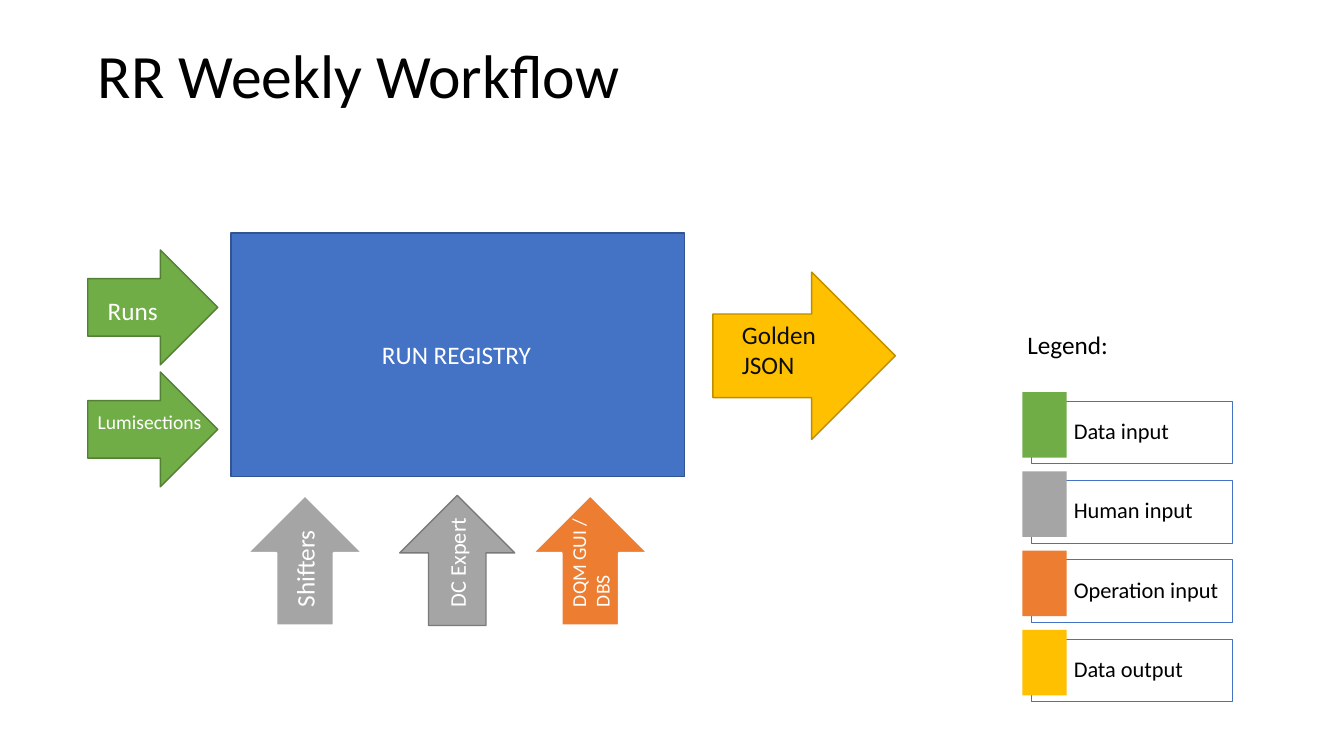
import dataclasses

import lxml.etree
import pptx
import pptx.dml.color
import pptx.enum.shapes
import pptx.enum.text
import pptx.oxml.ns
import pptx.util

SHAPE = pptx.enum.shapes.MSO_SHAPE
ANCHOR = pptx.enum.text.MSO_ANCHOR
ALIGN = pptx.enum.text.PP_ALIGN
AUTO_SIZE = pptx.enum.text.MSO_AUTO_SIZE


@dataclasses.dataclass(frozen=True)
class Theme:
    font: str = "Calibri"
    black: str = "000000"
    ink: str = "0D0D0D"
    white: str = "FFFFFF"
    registry: str = "4472C4"
    registry_edge: str = "325491"
    data_input: str = "70AD47"
    data_input_edge: str = "538035"
    human: str = "A5A5A5"
    human_edge: str = "7A7A7A"
    operation: str = "ED7D31"
    output: str = "FFC000"
    output_edge: str = "BD8E00"
    title: float = 44
    label: float = 18
    medium: float = 16
    small: float = 14


def rgb(value):
    return pptx.dml.color.RGBColor.from_string(value)


def apply(target, values):
    for name, value in values.items():
        setattr(target, name, value)


class WorkflowSlide:
    """Draws on a grid whose cells are a tenth of an inch; a box is (column, row, columns, rows)."""

    cell = pptx.util.Inches(0.1)

    def __init__(self, deck, theme):
        self.theme = theme
        self.slide = deck.slides.add_slide(deck.slide_layouts[5])

    def grid(self, *cells):
        return [round(count * self.cell) for count in cells]

    def set_text(self, shape, text, size, color, anchor=ANCHOR.TOP, spacing=1.0, insets=(1, 0.5, 1, 0.5)):
        frame = shape.text_frame
        left, top, right, bottom = self.grid(*insets)
        apply(frame, {
            "text": text, "word_wrap": True, "auto_size": AUTO_SIZE.NONE, "vertical_anchor": anchor,
            "margin_left": left, "margin_top": top, "margin_right": right, "margin_bottom": bottom,
        })
        paragraph = frame.paragraphs[0]
        apply(paragraph, {"alignment": ALIGN.LEFT, "line_spacing": spacing})
        font = paragraph.runs[0].font
        apply(font, {"name": self.theme.font, "size": pptx.util.Pt(size)})
        font.color.rgb = rgb(color)

    def title(self, box, text):
        heading = self.slide.shapes.title
        apply(heading, dict(zip(("left", "top", "width", "height"), self.grid(*box))))
        self.set_text(heading, text, self.theme.title, self.theme.black, ANCHOR.MIDDLE, 0.9)

    def label(self, box, text, size, color, rotation=0):
        caption = self.slide.shapes.add_textbox(*self.grid(*box))
        caption.rotation = rotation
        self.set_text(caption, text, size, color)

    def block(self, kind, box, fill, edge=None, weight=1, rotation=0, opacity=None):
        block = self.slide.shapes.add_shape(kind, *self.grid(*box))
        block.rotation = rotation
        block.shadow.inherit = False
        block.fill.solid()
        block.fill.fore_color.rgb = rgb(fill)
        if opacity is not None:
            color = block.element.spPr.find(".//" + pptx.oxml.ns.qn("a:srgbClr"))
            lxml.etree.SubElement(color, pptx.oxml.ns.qn("a:alpha"), val=str(opacity * 1000))
        if edge:
            block.line.color.rgb = rgb(edge)
            block.line.width = pptx.util.Pt(weight)
        else:
            block.line.fill.background()
        return block

    def arrow(self, corner, fill, edge, weight=1, rotation=0, size=(12.9, 11.4)):
        self.block(SHAPE.RIGHT_ARROW, (*corner, *size), fill, edge, weight, rotation)

    def legend_entry(self, column, row, text, color):
        frame = self.block(SHAPE.RECTANGLE, (column + 0.9, row + 0.9, 19.9, 6.2),
                           self.theme.white, self.theme.registry, 0.5, opacity=40)
        self.set_text(frame, text, self.theme.medium, self.theme.black,
                      ANCHOR.MIDDLE, 0.9, (4.2, 0.7, 0.7, 0.7))
        self.block(SHAPE.RECTANGLE, (column, row, 4.4, 6.5), color)


def main():
    deck = pptx.Presentation()
    apply(deck, {"slide_width": pptx.util.Inches(13.33), "slide_height": pptx.util.Inches(7.5)})
    theme = Theme()
    page = WorkflowSlide(deck, theme)
    page.title((8.7, 0.5, 115, 14.5), "RR Weekly Workflow")

    data_inputs = [
        (24.8, "Runs", theme.label, (9.7, 28.8, 8.2, 4)),
        (36.9, "Lumisections", theme.small, (8.7, 40.2, 12.9, 3.4)),
    ]
    for row, text, size, box in data_inputs:
        page.arrow((8.7, row), theme.data_input, theme.data_input_edge)
        page.label(box, text, size, theme.white)

    page.block(SHAPE.RECTANGLE, (22.9, 23.1, 45, 24.2), theme.registry, theme.registry_edge)
    page.label((36.9, 33.2, 39.7, 4), "RUN REGISTRY", theme.label, theme.white)

    upward_inputs = [
        (23.8, theme.human, theme.white, 1.5, "Shifters", theme.label, (25.3, 54.3, 9.8, 4)),
        (38.9, theme.human, theme.human_edge, 1, "DC Expert", theme.medium, (39.3, 53.3, 12.1, 3.7)),
        (52.1, theme.operation, theme.white, 1.5, "DQM GUI / DBS", theme.small, (52.5, 52.3, 12.1, 5.7)),
    ]
    for column, fill, edge, weight, text, size, box in upward_inputs:
        page.arrow((column, 49.9), fill, edge, weight, rotation=270)
        page.label(box, text, size, theme.white, rotation=270)

    page.arrow((70.7, 27), theme.output, theme.output_edge, size=(18.1, 16.6))
    page.label((72.6, 31.2, 14.2, 7.1), "Golden JSON", theme.label, theme.ink)

    page.label((100.9, 32.2, 23.1, 4), "Legend:", theme.label, theme.black)
    legend = [
        ("Data input", theme.data_input),
        ("Human input", theme.human),
        ("Operation input", theme.operation),
        ("Data output", theme.output),
    ]
    for index, (text, color) in enumerate(legend):
        page.legend_entry(101.4, 38.9 + 7.86 * index, text, color)

    deck.save("out.pptx")


if __name__ == "__main__":
    main()
